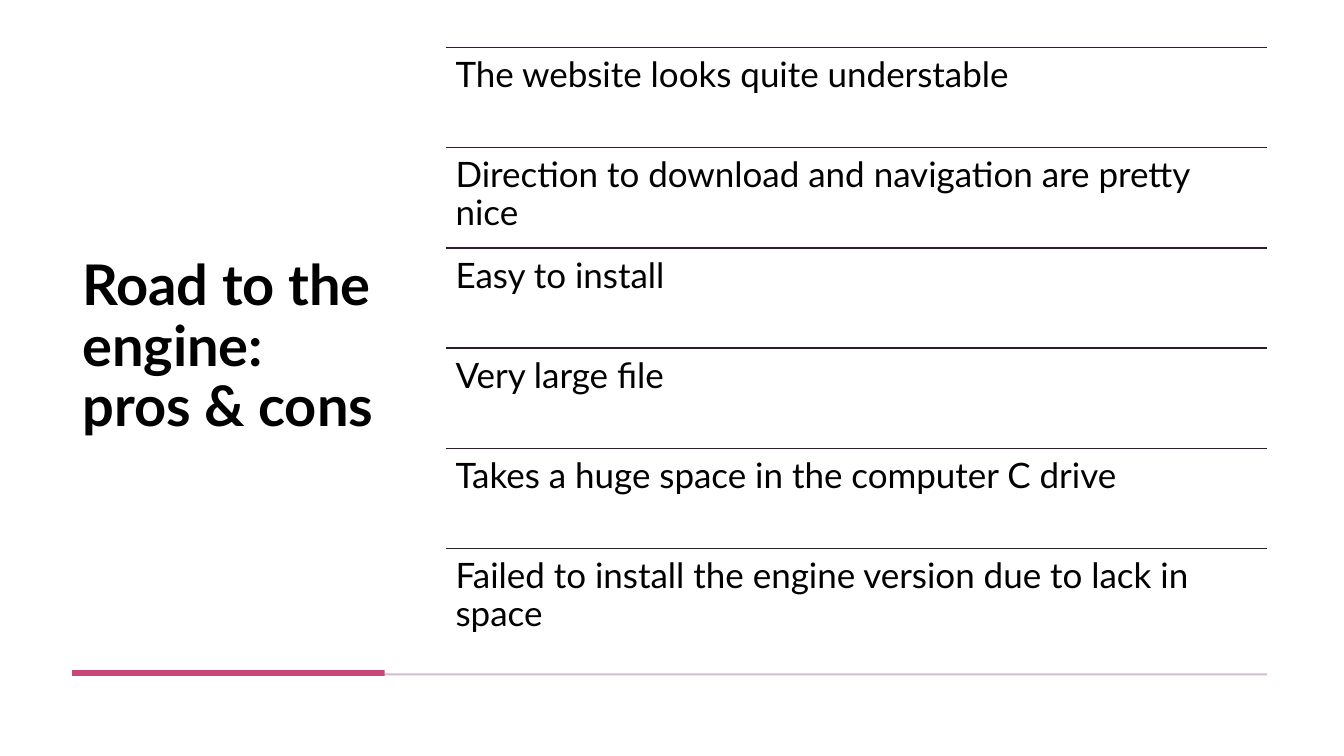
from dataclasses import dataclass

from pptx import Presentation
from pptx.dml.color import RGBColor
from pptx.enum.shapes import MSO_CONNECTOR as Link, MSO_SHAPE as Form
from pptx.enum.text import MSO_ANCHOR as Anchor, MSO_AUTO_SIZE as Fit, PP_ALIGN as Align
from pptx.oxml.ns import qn
from pptx.slide import Slide
from pptx.text.text import TextFrame
from pptx.util import Pt
from lxml.etree import SubElement

FONT = "Lato"
BLACK, PLUM, PINK, MAUVE = "000000", "301B2C", "C94778", "D8B9D2"
LEFT, RIGHT = 51.6, 905
TOP, STEP = 33.84, 71.6
LIST = 318.4
PAD = 7.2

POINTS = (
    "The website looks quite understable",
    "Direction to download and navigation are pretty nice",
    "Easy to install",
    "Very large file",
    "Takes a huge space in the computer C drive",
    "Failed to install the engine version due to lack in space",
)


@dataclass
class Box:
    left: float
    top: float
    width: float
    height: float

    def place(self) -> tuple[Pt, Pt, Pt, Pt]:
        return Pt(self.left), Pt(self.top), Pt(self.width), Pt(self.height)


@dataclass
class Bar:
    box: Box
    color: str


BARS = (
    Bar(Box(LEFT, 481, RIGHT - LEFT, 1.5), MAUVE),
    Bar(Box(LEFT, 478.6, 223.2, 4.3), PINK),
)


def rgb(color: str) -> RGBColor:
    return RGBColor.from_string(color)


def write(frame: TextFrame, text: str, size: float, bold: bool, anchor: Anchor) -> None:
    frame.word_wrap = True
    frame.auto_size = Fit.NONE
    frame.vertical_anchor = anchor
    par = frame.paragraphs[0]
    par.alignment = Align.LEFT
    par.line_spacing = 0.9
    run = par.add_run()
    run.text = text
    font = run.font
    font.name, font.size, font.bold = FONT, Pt(size), bold
    font.color.rgb = rgb(BLACK)


def add_title(slide: Slide, text: str, box: Box) -> None:
    title = slide.shapes.title
    title.left, title.top, title.width, title.height = box.place()
    write(title.text_frame, text, 40, True, Anchor.MIDDLE)


def add_bar(slide: Slide, bar: Bar) -> None:
    shape = slide.shapes.add_shape(Form.RECTANGLE, *bar.box.place())
    shape.shadow.inherit = False
    shape.fill.solid()
    shape.fill.fore_color.rgb = rgb(bar.color)
    shape.line.fill.background()


def add_row(slide: Slide, text: str, box: Box) -> None:
    """Draw one list item under its thin rule."""
    y = Pt(box.top)
    rule = slide.shapes.add_connector(
        Link.STRAIGHT, Pt(box.left), y, Pt(box.left + box.width), y
    )
    rule.line.color.rgb = rgb(PLUM)
    rule.line.width = Pt(1)
    SubElement(rule.element.spPr, qn("a:effectLst"))

    frame = slide.shapes.add_textbox(*box.place()).text_frame
    frame.margin_left = frame.margin_right = Pt(PAD)
    frame.margin_top = frame.margin_bottom = Pt(PAD)
    write(frame, text, 25, False, Anchor.TOP)


def main() -> None:
    deck = Presentation()
    deck.slide_width, deck.slide_height = Pt(960), Pt(540)
    slide = deck.slides.add_slide(deck.slide_layouts.get_by_name("Title Only"))

    title_box = Box(LEFT, TOP, 223.2, STEP * len(POINTS))
    add_title(slide, "Road to the engine: pros & cons", title_box)
    for bar in BARS:
        add_bar(slide, bar)
    for i, text in enumerate(POINTS):
        add_row(slide, text, Box(LIST, TOP + i * STEP, RIGHT - LIST, STEP))

    deck.save("out.pptx")


if __name__ == "__main__":
    main()
